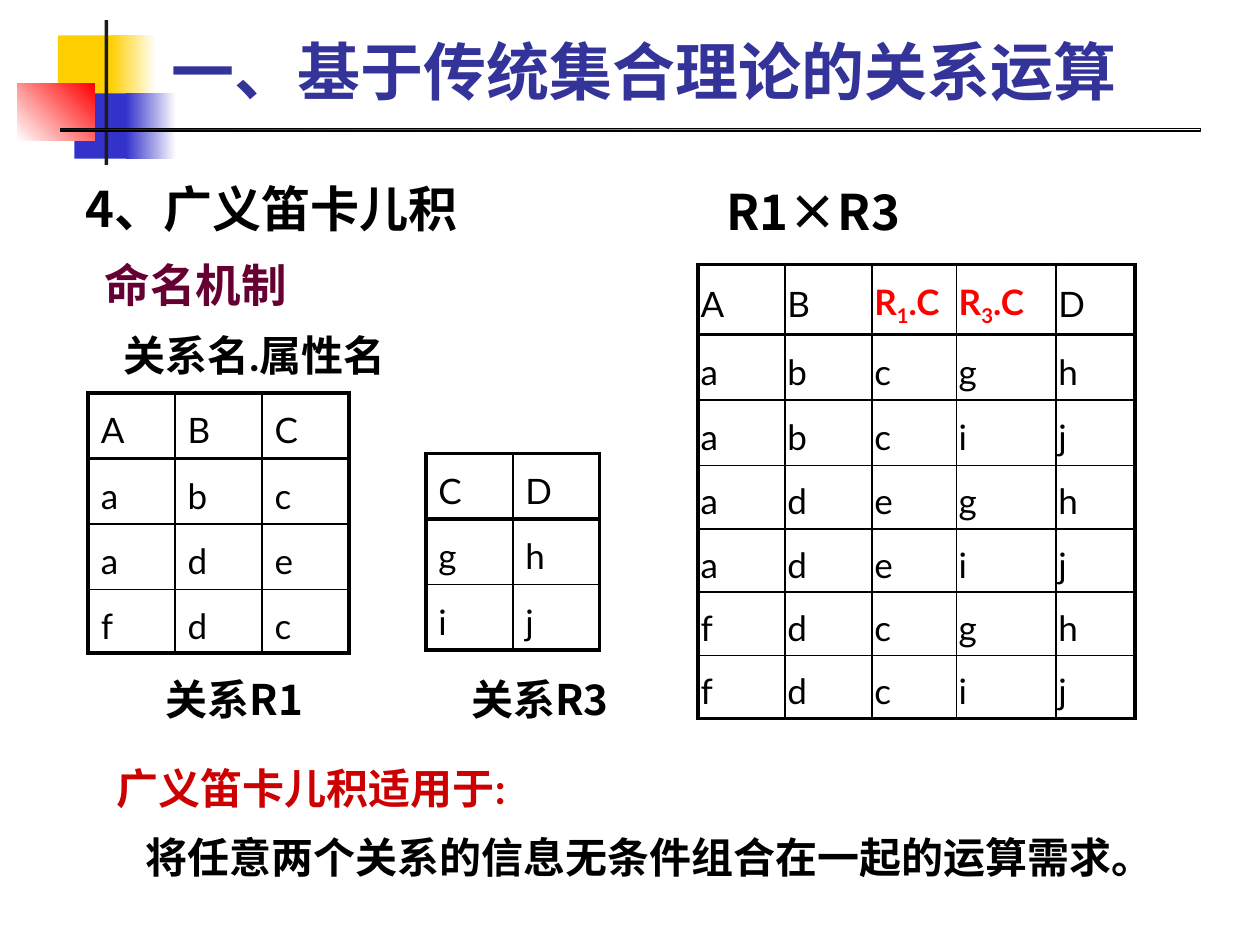
from pptx import Presentation
from pptx.dml.color import RGBColor
from pptx.enum.shapes import MSO_SHAPE
from pptx.enum.text import MSO_ANCHOR, MSO_AUTO_SIZE, PP_ALIGN
from pptx.oxml.ns import qn
from pptx.util import Inches, Pt
from lxml.etree import SubElement

BLACK = RGBColor(0x00, 0x00, 0x00)
WHITE = RGBColor(0xFF, 0xFF, 0xFF)
CHARCOAL = RGBColor(0x1C, 0x1C, 0x1C)
YELLOW = RGBColor(0xFF, 0xCF, 0x01)
BLUE = RGBColor(0x33, 0x33, 0xCC)
RED = RGBColor(0xFF, 0x00, 0x00)
NAVY = RGBColor(0x33, 0x33, 0x99)
PLUM = RGBColor(0x66, 0x00, 0x33)
CRIMSON = RGBColor(0xCC, 0x00, 0x00)
LATO = "Lato"
NOTO = "Noto Sans CJK SC"
THICK, THIN = 2.25, 1


def write_text(para, text, size=24, color=BLACK, font=LATO, bold=True, baseline=0):
    """Append one formatted span to a paragraph."""
    span = para.add_run()
    span.text = text
    span.font.size = Pt(size)
    span.font.bold = bold
    span.font.color.rgb = color
    span.font.name = font
    properties = span._r.get_or_add_rPr()
    SubElement(properties, qn("a:ea")).set("typeface", NOTO)
    if baseline:
        properties.set("baseline", str(baseline * 1000))


def add_block(page, place, start, end=None, angle=0, outlined=False):
    """Add a decorative rectangle, solid or graded from start to end."""
    block = page.shapes.add_shape(MSO_SHAPE.RECTANGLE, *map(Inches, place))
    block.shadow.inherit = False
    if end is None:
        block.fill.solid()
        block.fill.fore_color.rgb = start
    else:
        block.fill.gradient()
        block.fill.gradient_angle = angle
        for stop, position, color in zip(block.fill.gradient_stops, (0, 1), (start, end)):
            stop.position = position
            stop.color.rgb = color
    if outlined:
        block.line.color.rgb = BLACK
        block.line.width = Pt(0.75)
    else:
        block.line.fill.background()


def add_decoration(page):
    """Add the coloured squares and the rules around the title."""
    add_block(page, (0.46, 0.28, 0.48, 0.52), YELLOW)
    add_block(page, (0.88, 0.28, 0.36, 0.52), YELLOW, WHITE)
    add_block(page, (0.59, 0.74, 0.46, 0.52), BLUE)
    add_block(page, (1, 0.74, 0.4, 0.52), BLUE, WHITE)
    add_block(page, (0.14, 0.66, 0.61, 0.46), WHITE, RED, angle=45)
    add_block(page, (0.83, 0.16, 0.03, 1.15), CHARCOAL)
    add_block(page, (0.48, 1.02, 9.05, 0.02), CHARCOAL, WHITE, outlined=True)


def place_box(box, place, anchor=MSO_ANCHOR.TOP):
    """Position a text box or placeholder and return its text frame."""
    box.left, box.top, box.width, box.height = map(Inches, place)
    frame = box.text_frame
    frame.word_wrap = True
    frame.auto_size = MSO_AUTO_SIZE.NONE
    frame.vertical_anchor = anchor
    return frame


def fill_lines(frame, lines):
    """Write unbulleted lines given as (indent, text, format)."""
    for index, (indent, text, style) in enumerate(lines):
        para = frame.add_paragraph() if index else frame.paragraphs[0]
        properties = para._p.get_or_add_pPr()
        properties.set("marL", str(Inches(indent)))
        properties.set("indent", "0")
        SubElement(properties, qn("a:buNone"))
        para.alignment = PP_ALIGN.LEFT
        para.line_spacing = 1.2
        para.space_before = Pt(style.get("size", 24) * 0.2 if index else 0)
        write_text(para, text, **style)


def add_label(page, place, text, size=24):
    """Add a centred bold caption."""
    frame = place_box(page.shapes.add_textbox(0, 0, 0, 0), place)
    para = frame.paragraphs[0]
    para.alignment = PP_ALIGN.CENTER
    write_text(para, text, size=size, font=NOTO)


def set_borders(cell, widths):
    """Draw the left, right, top and bottom borders of a cell."""
    properties = cell._tc.get_or_add_tcPr()
    for index, (side, width) in enumerate(zip("LRTB", widths)):
        line = properties.makeelement(qn(f"a:ln{side}"), {"w": str(Pt(width))})
        fill = SubElement(line, qn("a:solidFill"))
        SubElement(fill, qn("a:srgbClr")).set("val", str(BLACK))
        properties.insert(index, line)


def write_cell(cell, text, margin):
    """Fill a cell; a qualified name such as R1.C gets a red subscript form."""
    cell.fill.background()
    cell.vertical_anchor = MSO_ANCHOR.MIDDLE
    cell.margin_left = cell.margin_right = Inches(margin)
    para = cell.text_frame.paragraphs[0]
    para.line_spacing = 1.2
    if "." in text:
        for part, baseline in ((text[0], 0), (text[1], -25), (text[2:], 0)):
            write_text(para, part, size=20, color=RED, baseline=baseline)
    else:
        write_text(para, text, size=20, bold=False)


def add_relation(page, left, top, widths, heights, rows, margin=0.1):
    """Add a relation table with a thick frame and header rule."""
    table = page.shapes.add_table(
        len(rows), len(widths), Inches(left), Inches(top),
        Inches(sum(widths)), Inches(sum(heights))).table
    for column, width in zip(table.columns, widths):
        column.width = Inches(width)
    last_row, last_column = len(rows) - 1, len(widths) - 1
    for r, values in enumerate(rows):
        table.rows[r].height = Inches(heights[r])
        for c, text in enumerate(values):
            cell = table.cell(r, c)
            write_cell(cell, text, margin)
            thick = (c == 0, c == last_column, r < 2, r in (0, last_row))
            set_borders(cell, [THICK if edge else THIN for edge in thick])


def main():
    """Build the slide on the generalised Cartesian product."""
    deck = Presentation()
    deck.slide_width, deck.slide_height = Inches(10), Inches(7.5)
    page = deck.slides.add_slide(deck.slide_layouts[1])
    add_decoration(page)

    title = place_box(page.shapes.title, (1.26, 0.23, 8.52, 0.68), MSO_ANCHOR.BOTTOM)
    title.paragraphs[0].alignment = PP_ALIGN.LEFT
    write_text(title.paragraphs[0], "一、基于传统集合理论的关系运算", size=36, color=NAVY)

    body = place_box(page.placeholders[1], (0.58, 1.27, 8.96, 5.83))
    fill_lines(body, [
        (0, "4、广义笛卡儿积", {"size": 28, "font": NOTO}),
        (0.15, "命名机制", {"size": 26, "color": PLUM}),
        (0.3, "关系名.属性名", {}),
    ])

    add_relation(page, 3.38, 3.6, [0.69] * 2, [0.52] * 3, ["CD", "gh", "ij"])
    add_label(page, (3.49, 5.3, 1.59, 0.5), "关系R3")
    add_label(page, (5.47, 1.39, 1.97, 0.57), "R1×R3", size=28)
    add_relation(page, 0.7, 3.12, [0.69] * 3, [0.52] * 3 + [0.5],
                 ["ABC", "abc", "ade", "fdc"])
    add_label(page, (1.09, 5.3, 1.54, 0.5), "关系R1")
    add_relation(page, 5.54, 2.1, [0.69, 0.69, 0.67, 0.79, 0.63],
                 [0.54] + [0.52] * 2 + [0.5] * 4,
                 [["A", "B", "R1.C", "R3.C", "D"],
                  "abcgh", "abcij", "adegh", "adeij", "fdcgh", "fdcij"], margin=0.02)

    usage = place_box(page.shapes.add_textbox(0, 0, 0, 0), (0.83, 5.92, 8.27, 1.14))
    fill_lines(usage, [
        (0, "广义笛卡儿积适用于:", {"color": CRIMSON}),
        (0.23, "将任意两个关系的信息无条件组合在一起的运算需求。", {}),
    ])
    deck.save("out.pptx")


if __name__ == "__main__":
    main()
